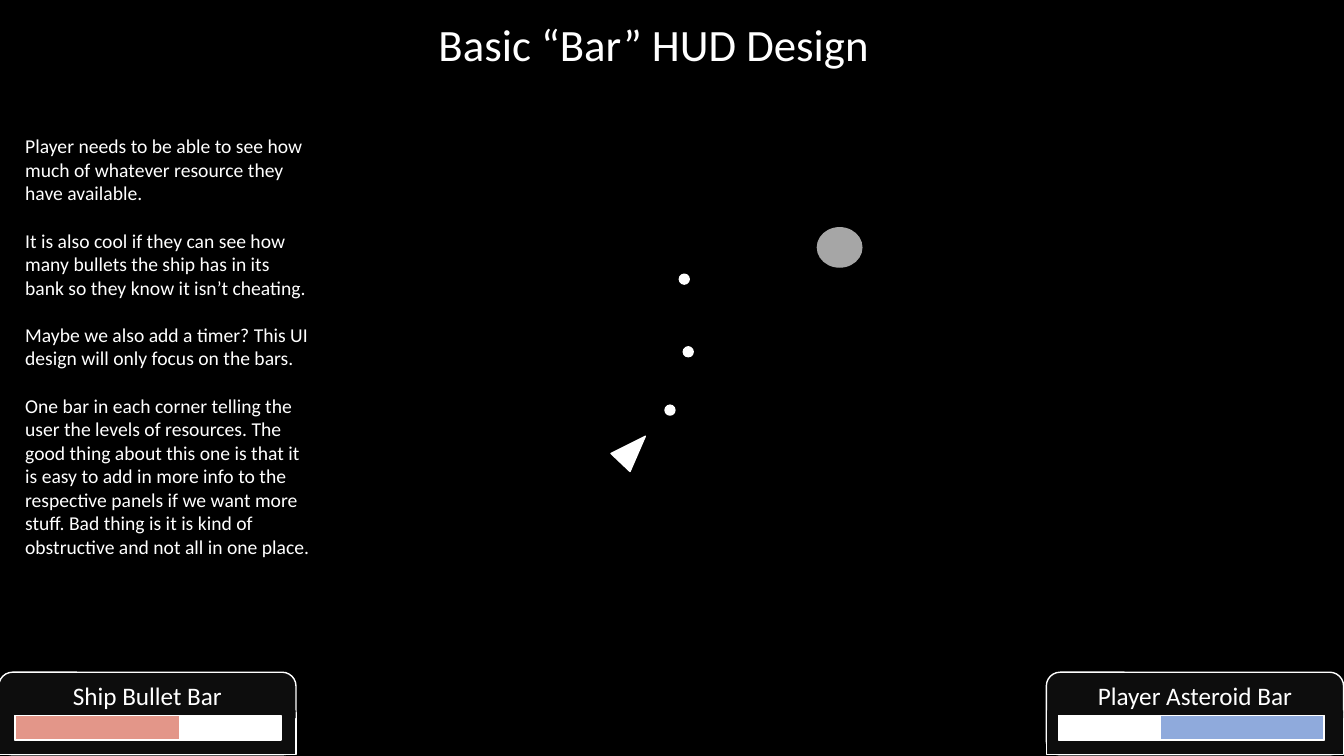
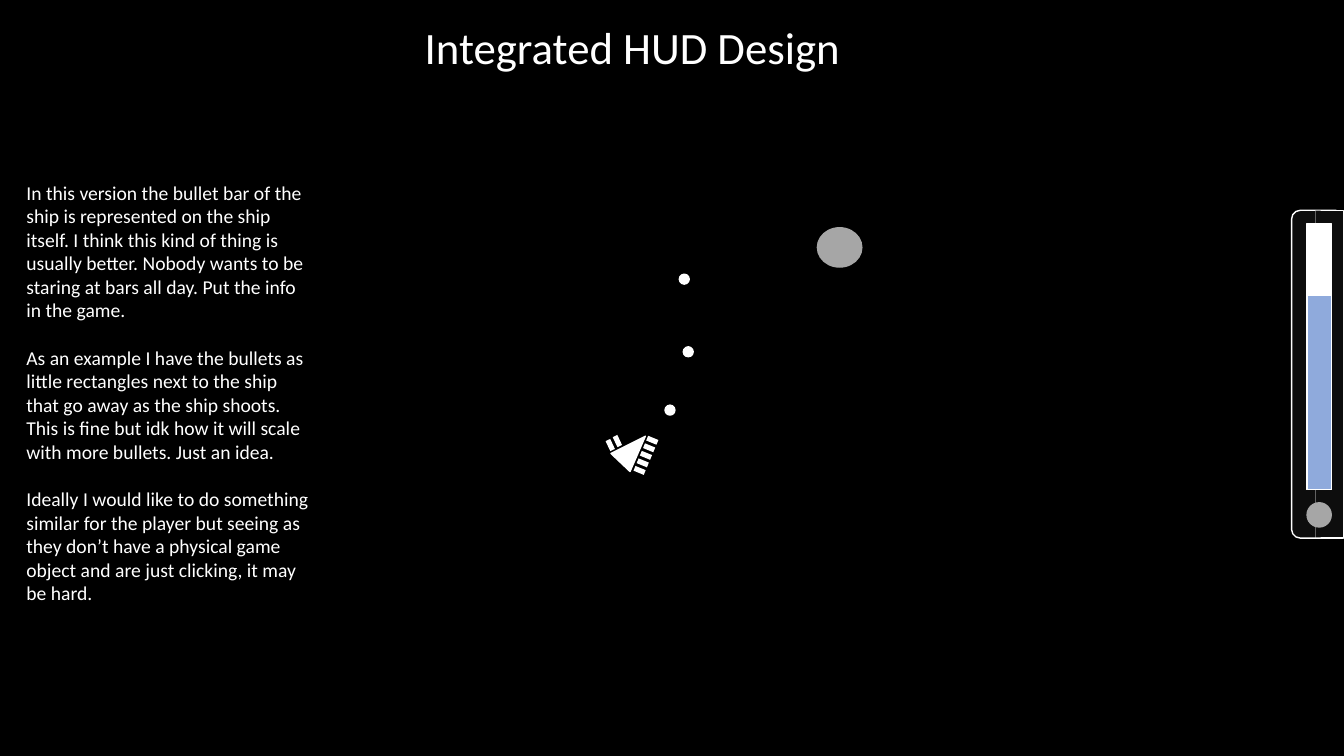
from dataclasses import dataclass

from pptx import Presentation
from pptx.dml.color import RGBColor
from pptx.enum.shapes import MSO_SHAPE
from pptx.enum.text import MSO_ANCHOR, MSO_AUTO_SIZE, PP_ALIGN
from pptx.oxml.ns import qn
from pptx.presentation import Presentation as Deck
from pptx.shapes.autoshape import Shape
from pptx.shapes.shapetree import GroupShapes, SlideShapes
from pptx.slide import Slide
from pptx.text.text import TextFrame
from pptx.util import Cm, Pt

BLACK = RGBColor(0x00, 0x00, 0x00)
WHITE = RGBColor(0xFF, 0xFF, 0xFF)
PANEL = RGBColor(0x0D, 0x0D, 0x0D)
ROCK = RGBColor(0xA6, 0xA6, 0xA6)
BLUE = RGBColor(0x8F, 0xAA, 0xDC)
RED = RGBColor(0xE3, 0x96, 0x89)

FONT = "Calibri"
TITLE_SIZE, LABEL_SIZE, BODY_SIZE = 32, 18, 14
PARAGRAPH_GAP = 17
BULLET = 0.25


@dataclass(frozen=True)
class Box:
    x: float
    y: float
    w: float
    h: float

    def lengths(self) -> tuple[Cm, Cm, Cm, Cm]:
        return Cm(self.x), Cm(self.y), Cm(self.w), Cm(self.h)


@dataclass(frozen=True)
class Panel:
    frame: Box
    base: Box
    seam: Box
    bar: Box
    level: Box
    color: RGBColor
    label: str = ""


@dataclass(frozen=True)
class Page:
    title: str
    title_box: Box
    body: tuple[str, ...]
    body_box: Box
    panels: tuple[Panel, ...]


def corner_panel(x: float, bar_x: float, level_x: float, color: RGBColor, label: str) -> Panel:
    return Panel(
        Box(x, 16.94, 7.49, 2.08),
        Box(x, 17.95, 7.49, 1.07),
        Box(x + 0.02, 17.9, 7.46, 0.2),
        Box(bar_x, 18.03, 6.7, 0.62),
        Box(level_x, 18.03, 4.14, 0.62),
        color,
        label,
    )


BAR_PAGE = Page(
    "Basic “Bar” HUD Design",
    Box(10.74, 0.28, 11.48, 1.63),
    (
        "Player needs to be able to see how much of whatever resource they have available.",
        "It is also cool if they can see how many bullets the ship has in its bank so they know it isn’t cheating.",
        "Maybe we also add a timer? This UI design will only focus on the bars.",
        "One bar in each corner telling the user the levels of resources. The good thing about this one is that "
        "it is easy to add in more info to the respective panels if we want more stuff. Bad thing is it is kind "
        "of obstructive and not all in one place.",
    ),
    Box(0.38, 3.25, 7.77, 11.46),
    (
        corner_panel(26.37, 26.67, 29.23, BLUE, "Player Asteroid Bar"),
        corner_panel(-0.03, 0.38, 0.38, RED, "Ship Bullet Bar"),
    ),
)

INTEGRATED_PAGE = Page(
    "Integrated HUD Design",
    Box(10.39, 0.36, 11.1, 1.63),
    (
        "In this version the bullet bar of the ship is represented on the ship itself. I think this kind of "
        "thing is usually better. Nobody wants to be staring at bars all day. Put the info in the game.",
        "As an example I have the bullets as little rectangles next to the ship that go away as the ship "
        "shoots. This is fine but idk how it will scale with more bullets. Just an idea.",
        "Ideally I would like to do something similar for the player but seeing as they don’t have a physical "
        "game object and are just clicking, it may be hard.",
    ),
    Box(0.41, 4.42, 7.77, 11.02),
    (
        Panel(
            Box(32.55, 5.3, 1.32, 8.26),
            Box(33.17, 5.3, 0.69, 8.26),
            Box(33.15, 5.31, 0.13, 8.23),
            Box(32.94, 5.64, 0.61, 6.7),
            Box(32.94, 7.44, 0.61, 4.9),
            BLUE,
        ),
    ),
)


def style_master(prs: Deck) -> None:
    master = prs.slide_master
    fill = master.background.fill
    fill.solid()
    fill.fore_color.rgb = BLACK
    color_map = master.element.find(qn("p:clrMap"))
    for key, value in (("bg1", "dk1"), ("tx1", "lt1")):
        color_map.set(key, value)
    styles = master.element.find(qn("p:txStyles"))
    for tag, size in (("p:titleStyle", TITLE_SIZE), ("p:bodyStyle", BODY_SIZE)):
        level = styles.find(qn(tag)).find(qn("a:lvl1pPr"))
        level.set("marL", "0")
        level.set("indent", "0")
        level.find(qn("a:defRPr")).set("sz", str(size * 100))
        bullet = level.find(qn("a:buChar"))
        if bullet is not None:
            level.replace(bullet, level.makeelement(qn("a:buNone"), {}))


def add_block(
    shapes: SlideShapes | GroupShapes,
    kind: MSO_SHAPE,
    box: Box,
    color: RGBColor,
    line: RGBColor | None = None,
    angle: float = 0,
) -> Shape:
    sp = shapes.add_shape(kind, *box.lengths())
    sp.shadow.inherit = False
    sp.rotation = angle
    sp.fill.solid()
    sp.fill.fore_color.rgb = color
    if line is None:
        sp.line.fill.background()
    else:
        sp.line.color.rgb = line
        sp.line.width = Pt(1)
    return sp


def write(tf: TextFrame, texts: tuple[str, ...], size: int, align: PP_ALIGN) -> None:
    tf.auto_size = MSO_AUTO_SIZE.NONE
    for i, text in enumerate(texts):
        p = tf.add_paragraph() if i else tf.paragraphs[0]
        p.text = text
        p.alignment = align
        p.space_before = Pt(PARAGRAPH_GAP if i else 0)
        p.font.name = FONT
        p.font.size = Pt(size)
        p.font.color.rgb = WHITE


def place(sp: Shape, box: Box) -> None:
    sp.left, sp.top, sp.width, sp.height = box.lengths()


def add_panel(s: Slide, panel: Panel) -> None:
    backing = s.shapes.add_group_shape().shapes
    add_block(backing, MSO_SHAPE.ROUNDED_RECTANGLE, panel.frame, PANEL, WHITE)
    add_block(backing, MSO_SHAPE.RECTANGLE, panel.base, PANEL, WHITE)
    add_block(backing, MSO_SHAPE.RECTANGLE, panel.seam, PANEL)
    gauge = s.shapes.add_group_shape().shapes
    add_block(gauge, MSO_SHAPE.RECTANGLE, panel.bar, WHITE, WHITE)
    add_block(gauge, MSO_SHAPE.RECTANGLE, panel.level, panel.color, WHITE)
    if panel.label:
        box = Box(panel.frame.x, 17.02, panel.frame.w, 1.02)
        tf = s.shapes.add_textbox(*box.lengths()).text_frame
        tf.word_wrap = True
        write(tf, (panel.label,), LABEL_SIZE, PP_ALIGN.CENTER)


def add_game(s: Slide) -> None:
    add_block(s.shapes, MSO_SHAPE.ISOSCELES_TRIANGLE, Box(15.62, 10.87, 0.66, 0.91), WHITE, WHITE, 43.4)
    add_block(s.shapes, MSO_SHAPE.OVAL, Box(20.6, 5.74, 1.12, 0.99), ROCK, ROCK)
    for x, y in ((16.76, 10.21), (17.22, 8.74), (17.12, 6.91)):
        add_block(s.shapes, MSO_SHAPE.OVAL, Box(x, y, BULLET, BULLET), WHITE, WHITE)


def add_ammo(s: Slide) -> None:
    for x, y, dx, dy, count, angle in (
        (15.24, 11.15, 0.18, -0.1, 2, 64.9),
        (15.98, 11.79, 0.08, -0.19, 5, 22.3),
    ):
        for i in range(count):
            box = Box(x + i * dx, y + i * dy, 0.28, 0.13)
            add_block(s.shapes, MSO_SHAPE.RECTANGLE, box, WHITE, angle=angle)


def add_page(prs: Deck, page: Page) -> Slide:
    s = prs.slides.add_slide(prs.slide_layouts[1])
    title, body = s.shapes.title, s.placeholders[1]
    place(title, page.title_box)
    title.text_frame.word_wrap = False
    title.text_frame.vertical_anchor = MSO_ANCHOR.MIDDLE
    write(title.text_frame, (page.title,), TITLE_SIZE, PP_ALIGN.CENTER)
    place(body, page.body_box)
    write(body.text_frame, page.body, BODY_SIZE, PP_ALIGN.LEFT)
    for panel in page.panels:
        add_panel(s, panel)
    add_game(s)
    return s


def main() -> None:
    prs = Presentation()
    prs.slide_width, prs.slide_height = Cm(33.87), Cm(19.05)
    style_master(prs)
    add_page(prs, BAR_PAGE)
    s = add_page(prs, INTEGRATED_PAGE)
    add_block(s.shapes, MSO_SHAPE.OVAL, Box(32.94, 12.67, 0.61, 0.61), ROCK, ROCK)
    add_ammo(s)
    prs.save("out.pptx")


if __name__ == "__main__":
    main()
